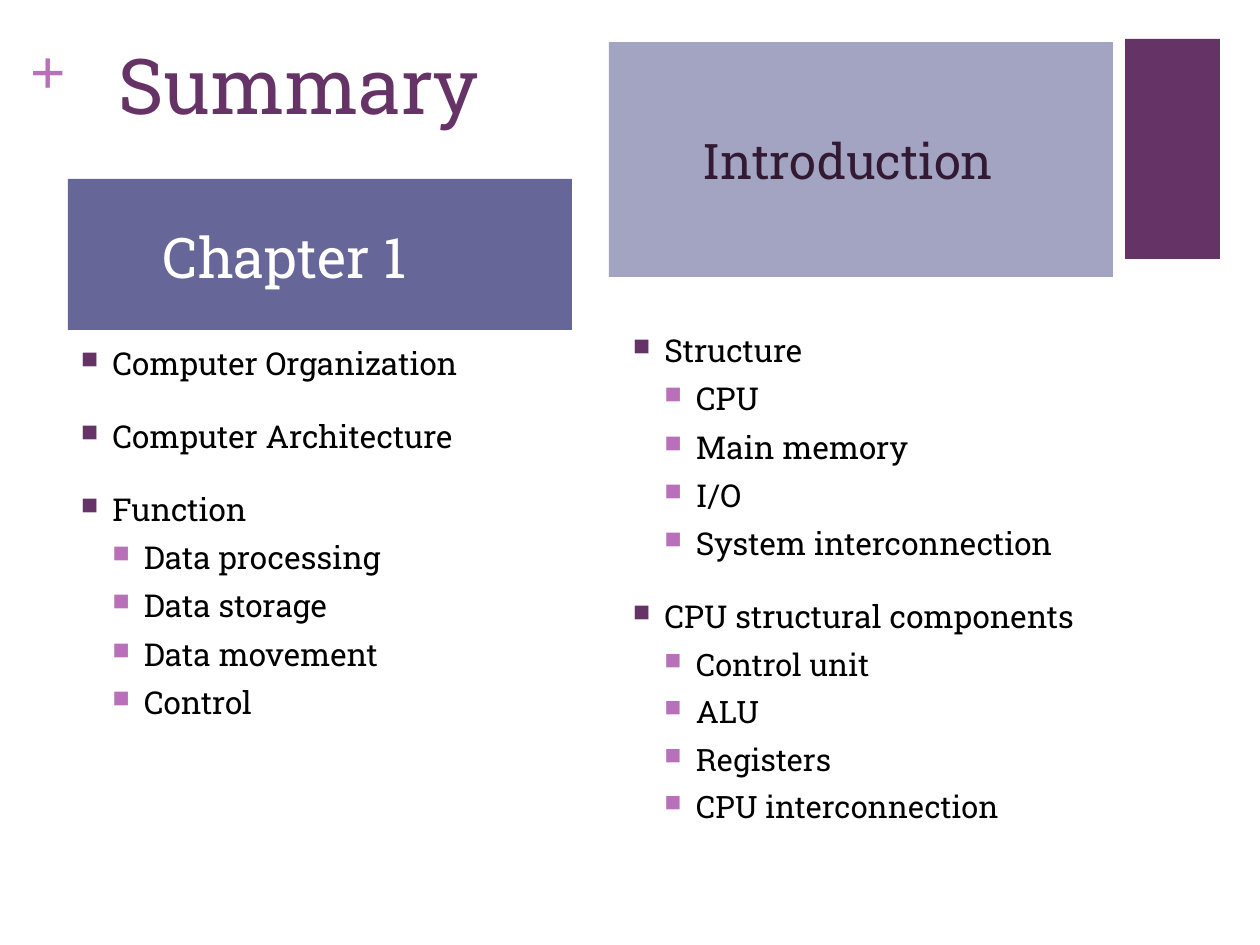
import pptx
import pptx.util
import pptx.dml.color
import pptx.enum.shapes
import pptx.enum.text
import lxml.etree
from dataclasses import dataclass

SCALE = 914400 / 126
NS = "http://schemas.openxmlformats.org/drawingml/2006/main"


@dataclass(frozen=True)
class Theme:
    """Colours, fonts and type sizes of the slide."""
    plum: str = "663366"
    pink: str = "B870B8"
    slate: str = "666699"
    mist: str = "A3A3C2"
    dark: str = "331A33"
    black: str = "000000"
    white: str = "FFFFFF"
    face: str = "Roboto Slab"
    sign: str = "Times New Roman"
    title: float = 44
    plus: float = 36
    chapter: float = 32
    intro: float = 28
    body: float = 18
    small: float = 17.6


THEME = Theme()


def px(count):
    """Turn px into EMU."""
    return pptx.util.Emu(round(count * SCALE))


def color(code):
    """Turn a hex code into a colour."""
    return pptx.dml.color.RGBColor.from_string(code)


def style(para, size, code, face=THEME.face):
    """Set the font of a paragraph."""
    para.font.size = pptx.util.Pt(size)
    para.font.name = face
    para.font.color.rgb = color(code)


def inset(frame, left, top, right, bottom):
    """Set the four margins of a text frame."""
    frame.margin_left, frame.margin_top = px(left), px(top)
    frame.margin_right, frame.margin_bottom = px(right), px(bottom)


def block(slide, box, fill):
    """Draw a plain filled rectangle."""
    kind = pptx.enum.shapes.MSO_SHAPE.RECTANGLE
    shape = slide.shapes.add_shape(kind, *map(px, box))
    shape.shadow.inherit = False
    shape.fill.solid()
    shape.fill.fore_color.rgb = color(fill)
    shape.line.fill.background()
    return shape


def label(slide, box, text, size, code, face=THEME.face):
    """Place one line of text and return its frame."""
    frame = slide.shapes.add_textbox(*map(px, box)).text_frame
    frame.word_wrap = True
    inset(frame, 13, 6, 13, 6)
    para = frame.paragraphs[0]
    para.text = text
    style(para, size, code, face)
    return frame


def banner(slide, box, text, size, code, fill, top, right):
    """Draw a filled heading with its text set left of the middle."""
    frame = block(slide, box, fill).text_frame
    frame.word_wrap = True
    frame.vertical_anchor = pptx.enum.text.MSO_ANCHOR.MIDDLE
    inset(frame, 13, top, right, 0)
    para = frame.paragraphs[0]
    para.text = text
    para.alignment = pptx.enum.text.PP_ALIGN.CENTER
    style(para, size, code)


def bullet(para, level):
    """Give a paragraph its indent, gap and square bullet."""
    para.level = level
    para.space_before = pptx.util.Pt((20, 6)[level])
    props = para._p.get_or_add_pPr()
    step = px(31.5)
    props.set("marL", str(step * (level + 1)))
    props.set("indent", str(-step))
    hue = lxml.etree.SubElement(props, f"{{{NS}}}buClr")
    code = (THEME.plum, THEME.pink)[level]
    lxml.etree.SubElement(hue, f"{{{NS}}}srgbClr", val=code)
    lxml.etree.SubElement(props, f"{{{NS}}}buSzPct", val="75000")
    lxml.etree.SubElement(props, f"{{{NS}}}buChar", char="■")


def outline(slide, box, groups):
    """Place a two-level list made of headed groups."""
    frame = slide.shapes.add_textbox(*map(px, box)).text_frame
    frame.word_wrap = True
    inset(frame, 13, 6, 13, 6)
    rows = []
    for head, size, items in groups:
        rows.append((head, 0, THEME.body))
        rows += [(item, 1, size) for item in items]
    for index, (text, level, size) in enumerate(rows):
        para = frame.add_paragraph() if index else frame.paragraphs[0]
        para.text = text
        bullet(para, level)
        style(para, size, THEME.black)


def main():
    """Build and save the summary slide."""
    deck = pptx.Presentation()
    deck.slide_width, deck.slide_height = px(1260), px(945)
    slide = deck.slides.add_slide(deck.slide_layouts[6])
    block(slide, (1125, 39, 95, 220), THEME.plum)
    plus = label(slide, (30, 32, 37, 77), "+", THEME.plus, THEME.pink, THEME.sign)
    plus.word_wrap = False
    plus.paragraphs[0].font.bold = True
    inset(plus, 0, 0, 0, 0)
    label(slide, (105, 32, 561, 154), "Summary", THEME.title, THEME.plum)
    outline(slide, (68, 338, 504, 507), [
        ("Computer Organization", THEME.body, []),
        ("Computer Architecture", THEME.body, []),
        ("Function", THEME.body,
         ["Data processing", "Data storage", "Data movement", "Control"]),
    ])
    outline(slide, (620, 325, 504, 546), [
        ("Structure", THEME.body,
         ["CPU", "Main memory", "I/O", "System interconnection"]),
        ("CPU structural components", THEME.small,
         ["Control unit", "ALU", "Registers", "CPU interconnection"]),
    ])
    banner(slide, (68, 179, 504, 151), "Chapter 1", THEME.chapter,
           THEME.white, THEME.slate, 4, 83)
    banner(slide, (609, 42, 504, 235), "Introduction", THEME.intro,
           THEME.dark, THEME.mist, 0, 39)
    deck.save("out.pptx")


if __name__ == "__main__":
    main()
